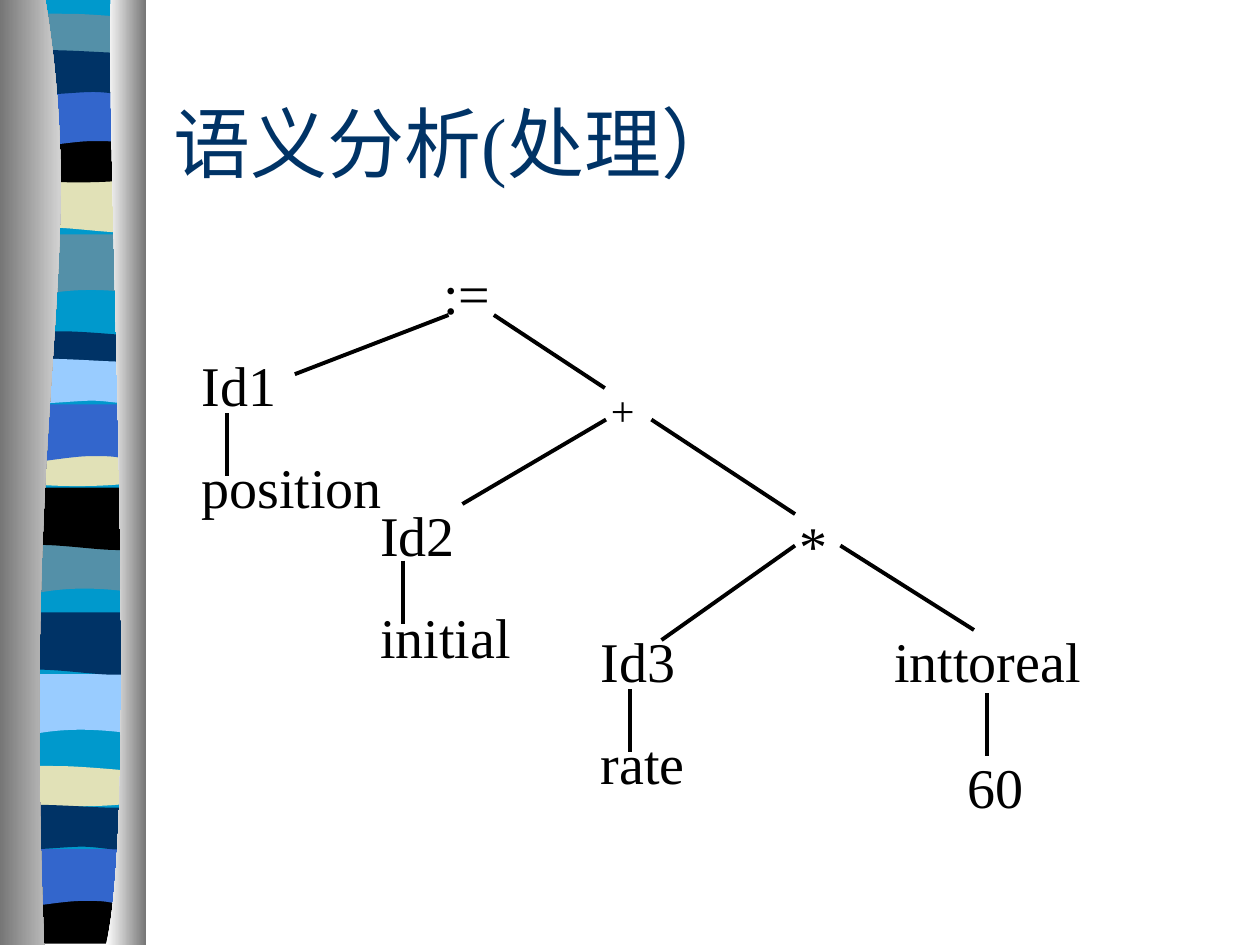
from lxml.etree import SubElement
from pptx import Presentation
from pptx.dml.color import RGBColor
from pptx.enum.shapes import MSO_CONNECTOR
from pptx.enum.text import MSO_ANCHOR, MSO_AUTO_SIZE
from pptx.oxml.ns import qn
from pptx.util import Inches, Pt

FONT = "Times New Roman"
COLORS = {
    "black": "000000", "white": "FFFFFF", "gray": "767676",
    "cyan": "0099CC", "slate": "5490A8", "cream": "E1E1B7",
    "blue": "3366CC", "navy": "003366", "sky": "99CCFF",
}

OUTLINES = {
    "bowl": [(0.98, 0), (0.98, 0.47), (0.3, 0.38, 0.17, 0.54, 0, 0.47), (0, 0)],
    "wave": [(0.98, 0), (0.98, 0.47), (0.82, 0.55, 0.3, 0.41, 0, 0.47), (0, 0)],
    "lens": [(0.98, 0.05), (0.98, 0.3), (0.82, 0.34, 0.16, 0.34, 0, 0.3), (0, 0.05),
             (0.06, 0, 0.21, 0.01, 0.38, 0.01), (0.54, 0.01, 0.86, 0.04, 0.98, 0.05)],
    "dip": [(0.98, 0), (0.98, 0.33), (0.82, 0.38, 0.17, 0.38, 0, 0.33), (0, 0),
            (0.61, 0.05, 0.78, 0, 0.98, 0)],
    "arch": [(0.98, 0), (0.98, 0.47), (0.83, 0.41, 0.77, 0.41, 0.61, 0.41),
             (0.44, 0.41, 0.15, 0.47, 0, 0.47), (0, 0)],
    "ripple": [(0.98, 0.05), (0.98, 0.36), (0.92, 0.41, 0.77, 0.36, 0.61, 0.36),
               (0.44, 0.36, 0.1, 0.41, 0, 0.36), (0, 0.05),
               (0.14, 0, 0.67, 0.05, 0.83, 0.05), (0.98, 0.05)],
    "base": [(0.98, 0), (0.99, 0.37), (0.01, 0.37), (0, 0), (0.61, 0.05, 0.78, 0, 0.98, 0)],
    "backing": [(0.98, 0), (0.98, 7.47), (0, 7.47), (0, 0)],
    "left column": [(0.36, 0), (0.71, 2.16, 0.17, 2.96, 0.35, 7.5), (0, 7.5), (0, 0)],
    "right column": [(0.04, 0), (0, 1.25, 0.27, 6.46, 0, 7.5), (0.32, 7.5), (0.32, 0)],
}

BANDS = [
    ("backing", "cyan", 0.14, 0),
    ("bowl", "slate", 0.13, 1.86), ("wave", "cream", 0.17, 1.35),
    ("lens", "slate", 0.17, 0.1), ("dip", "black", 0.13, 1.08),
    ("arch", "blue", 0.13, 0.71), ("ripple", "navy", 0.13, 0.37),
    ("bowl", "slate", 0.08, 4.23), ("wave", "black", 0.12, 3.87),
    ("lens", "navy", 0.12, 2.62), ("dip", "cream", 0.12, 3.49),
    ("arch", "blue", 0.12, 3.21), ("ripple", "sky", 0.12, 2.82),
    ("bowl", "sky", 0.05, 5.35), ("wave", "navy", 0.1, 4.86),
    ("lens", "cream", 0.08, 6.07), ("base", "black", 0.08, 7.12),
    ("arch", "blue", 0.05, 6.74), ("ripple", "navy", 0.04, 6.36),
]
COLUMNS = [("left column", 0, "gray", "white"), ("right column", 0.84, "white", "gray")]

NODES = [
    (["60"], 6.08, 3.92, 0.67, 0.64, 32),
    ([":="], 1.92, 0, 0.71, 0.64, 32),
    (["+"], 3.25, 1, 0.71, 0.5, 24),
    (["*"], 4.75, 2, 0.71, 0.64, 32),
    (["Id1", "position"], 0, 0.73, 1.76, 1.45, 32),
    (["Id2", "initial"], 1.42, 1.92, 1.32, 1.45, 32),
    (["Id3", "rate"], 3.17, 2.92, 0.97, 1.45, 32),
    (["inttoreal"], 5.5, 2.92, 1.75, 0.64, 32),
]
BRANCHES = [
    (0.84, 0.97, 2.06, 0.5), (2.42, 0.5, 3.3, 1.08),
    (3.31, 1.33, 2.17, 2), (3.67, 1.33, 4.81, 2.08),
    (5.17, 2.33, 6.23, 3), (4.81, 2.33, 3.75, 3.08),
]
STEMS = [(6.33, 3.5), (3.5, 3.47), (1.7, 2.45), (0.3, 1.28)]
STEM_HEIGHT = 0.5


def color(name):
    return RGBColor.from_string(COLORS[name])


def bend_segments(shape, steps):
    segments = iter(list(shape._element.iter(qn("a:lnTo"))))
    for step in steps:
        segment = next(segments)
        if len(step) == 6:
            segment.tag = qn("a:cubicBezTo")
            for _ in range(2):
                extra = next(segments)
                segment.append(extra[0])
                extra.getparent().remove(extra)


def add_outline(slide, name, left, top):
    steps = OUTLINES[name]
    points = [
        (Inches(left + step[index]), Inches(top + step[index + 1]))
        for step in steps for index in range(0, len(step), 2)
    ]
    builder = slide.shapes.build_freeform(*points[0])
    builder.add_line_segments(points[1:], close=True)
    shape = builder.convert_to_shape()
    bend_segments(shape, steps[1:])
    shape.shadow.inherit = False
    shape.line.fill.background()
    return shape


def add_ribbon(slide, left, top):
    for name, fill, x, y in BANDS:
        band = add_outline(slide, name, left + x, top + y)
        band.fill.solid()
        band.fill.fore_color.rgb = color(fill)
    for name, x, *shades in COLUMNS:
        column = add_outline(slide, name, left + x, top)
        column.fill.gradient()
        column.fill.gradient_angle = 0
        for stop, shade in zip(column.fill.gradient_stops, shades):
            stop.color.rgb = color(shade)


def add_text(slide, lines, left, top, width, height, size, shade):
    box = slide.shapes.add_textbox(Inches(left), Inches(top), Inches(width), Inches(height))
    frame = box.text_frame
    frame.word_wrap = True
    for index, line in enumerate(lines):
        paragraph = frame.add_paragraph() if index else frame.paragraphs[0]
        run = paragraph.add_run()
        run.text = line
        run.font.name = FONT
        run.font.size = Pt(size)
        run.font.color.rgb = color(shade)
    return frame


def add_title(slide, left, top, width, height):
    frame = add_text(slide, ["语义分析(处理）"], left, top, width, height, 44, "navy")
    frame.vertical_anchor = MSO_ANCHOR.MIDDLE


def add_line(slide, x1, y1, x2, y2):
    line = slide.shapes.add_connector(
        MSO_CONNECTOR.STRAIGHT, Inches(x1), Inches(y1), Inches(x2), Inches(y2))
    line.line.color.rgb = color("black")
    line.line.width = Pt(2.25)
    SubElement(line._element.spPr, qn("a:effectLst"))


def add_syntax_tree(slide, left, top):
    for lines, x, y, width, height, size in NODES:
        frame = add_text(slide, lines, left + x, top + y, width, height, size, "black")
        frame.auto_size = MSO_AUTO_SIZE.SHAPE_TO_FIT_TEXT
        for paragraph in frame.paragraphs:
            paragraph.space_before = Pt(size * 0.625)
    stems = [(x, y, x, y + STEM_HEIGHT) for x, y in STEMS]
    for x1, y1, x2, y2 in BRANCHES + stems:
        add_line(slide, left + x1, top + y1, left + x2, top + y2)


def main():
    presentation = Presentation()
    presentation.slide_width = Inches(10)
    presentation.slide_height = Inches(7.5)
    slide = presentation.slides.add_slide(presentation.slide_layouts[6])
    slide.background.fill.solid()
    slide.background.fill.fore_color.rgb = color("white")
    add_ribbon(slide, 0, 0)
    add_title(slide, 1.28, 0.5, 8.5, 1.25)
    add_syntax_tree(slide, 1.5, 2)
    presentation.save("out.pptx")


if __name__ == "__main__":
    main()
